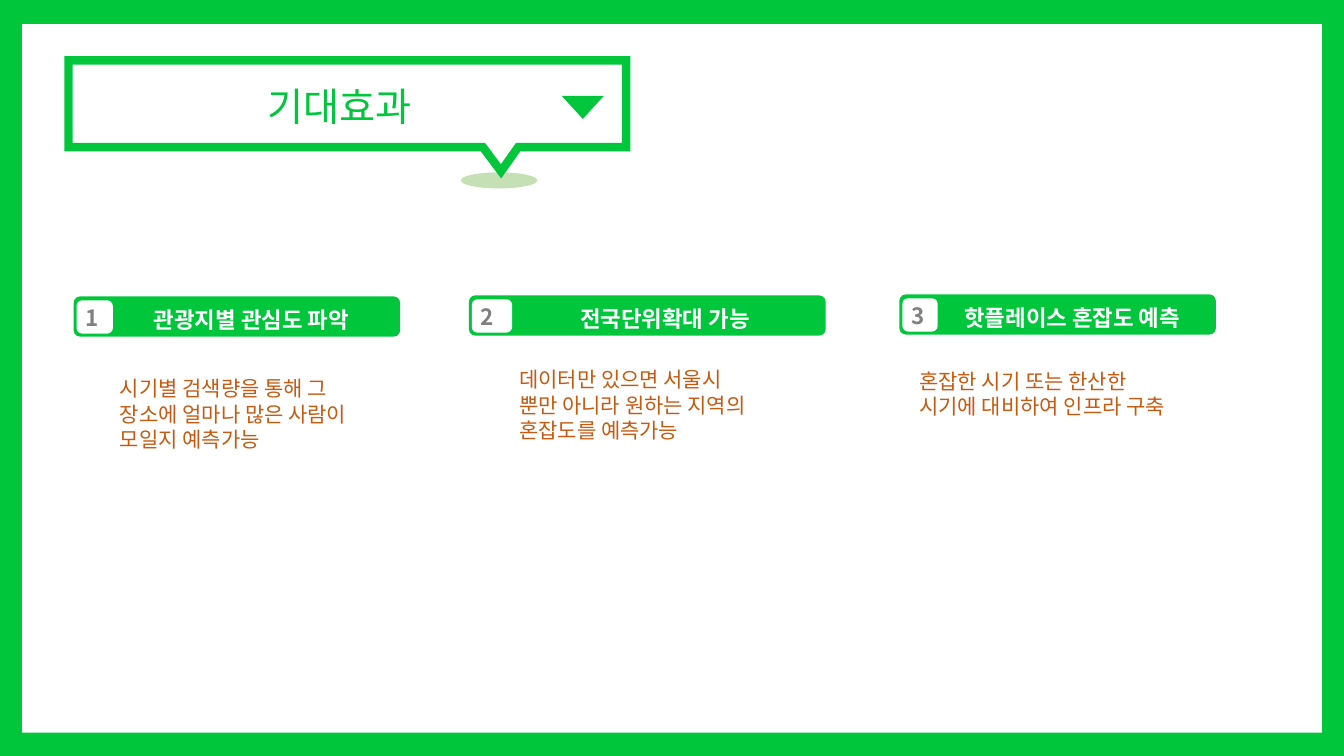
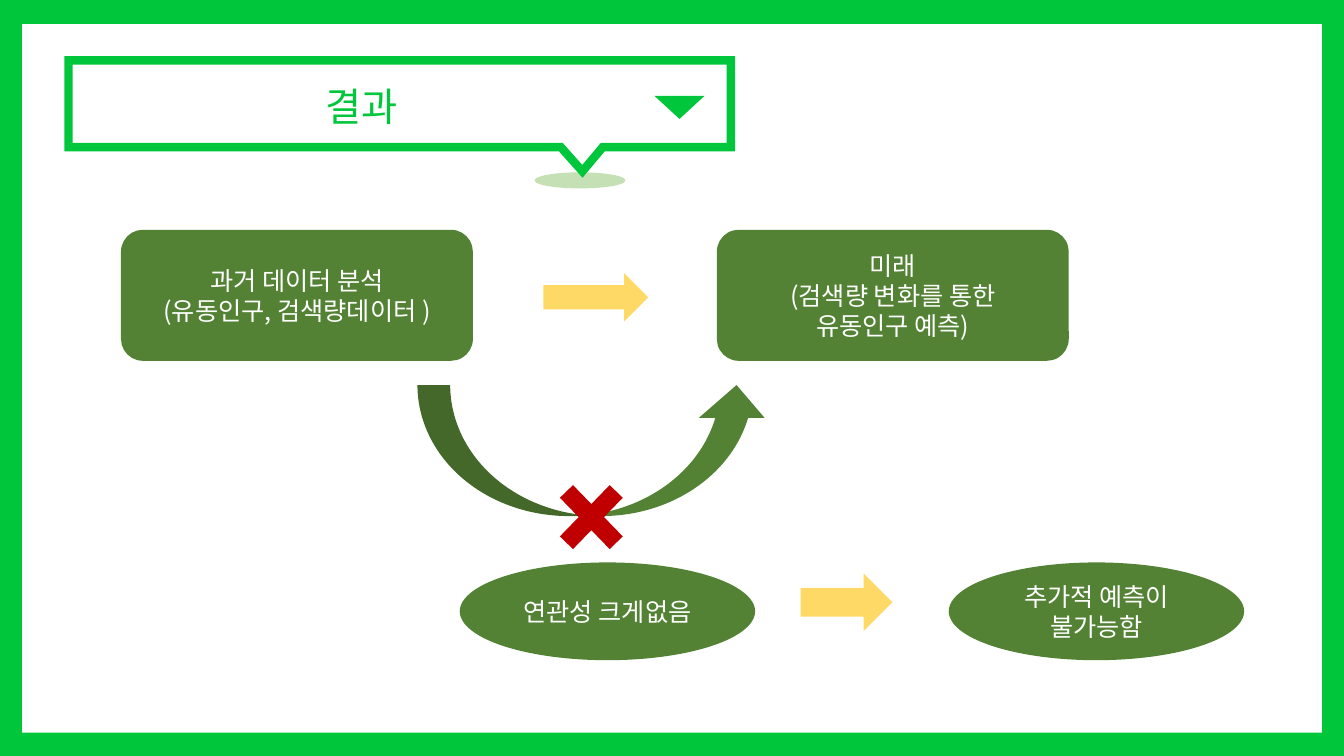
from dataclasses import dataclass

from lxml import etree
from pptx import Presentation
from pptx.dml.color import RGBColor
from pptx.enum import shapes, text
from pptx.oxml.ns import qn
from pptx.util import Inches, Pt

SHAPE = shapes.MSO_SHAPE
ALIGN = text.PP_ALIGN
ANCHOR = text.MSO_ANCHOR


@dataclass(frozen=True)
class Theme:
    font: str = "Noto Sans CJK KR"
    green: str = "00C63C"
    dark_green: str = "548235"
    pale_green: str = "C5E0B4"
    yellow: str = "FFD966"
    red: str = "C00000"
    orange: str = "C55A11"
    grey: str = "808080"
    white: str = "FFFFFF"
    title_size: int = 28
    box_size: int = 18
    label_size: int = 16
    body_size: int = 15


THEME = Theme()
TITLE_ONLY = 5

EFFECTS = [
    # bar (left, top, width), badge width, label (left, width), body (left, top, width)
    dict(bar=(0.73, 2.94, 3.24), badge=0.36, label=(1.11, 2.77), body=(1.09, 3.68, 2.59),
         heading="관광지별 관심도 파악",
         lines=["시기별 검색량을 통해 그 장소에 얼마나 많은 사람이 모일지 예측가능"]),
    dict(bar=(4.65, 2.93, 3.54), badge=0.4, label=(5.14, 2.91), body=(5.05, 3.59, 2.59),
         heading="전국단위확대 가능",
         lines=["데이터만 있으면 서울시 뿐만 아니라 원하는 지역의 혼잡도를 예측가능"]),
    dict(bar=(8.92, 2.92, 3.14), badge=0.35, label=(9.16, 2.95), body=(9.02, 3.61, 2.93),
         heading="핫플레이스 혼잡도 예측",
         lines=["혼잡한 시기 또는 한산한", "시기에 대비하여 인프라 구축"]),
]


def write(frame, lines, size, color, bold=False, align=ALIGN.LEFT, anchor=ANCHOR.TOP):
    frame_format = {"word_wrap": True, "auto_size": text.MSO_AUTO_SIZE.NONE,
                    "vertical_anchor": anchor}
    for name, value in frame_format.items():
        setattr(frame, name, value)
    font_format = {"name": THEME.font, "size": Pt(size), "bold": bold}
    for index, line in enumerate(lines):
        paragraph = frame.paragraphs[0] if index == 0 else frame.add_paragraph()
        paragraph.alignment = align
        run = paragraph.add_run()
        run.text = line
        for name, value in font_format.items():
            setattr(run.font, name, value)
        run.font.color.rgb = RGBColor.from_string(color)
        east_asian = etree.SubElement(run.font._element, qn("a:ea"))
        east_asian.set("typeface", THEME.font)


def add_filled(slide, preset, box, color):
    shape = slide.shapes.add_shape(preset, *map(Inches, box))
    shape.shadow.inherit = False
    shape.fill.solid()
    shape.fill.fore_color.rgb = RGBColor.from_string(color)
    shape.line.fill.background()
    return shape


def add_text(slide, box, lines, size, color, **style):
    write(slide.shapes.add_textbox(*map(Inches, box)).text_frame, lines, size, color, **style)


def add_node(slide, preset, box, lines):
    node = add_filled(slide, preset, box, THEME.dark_green)
    write(node.text_frame, lines, THEME.box_size, THEME.white,
          align=ALIGN.CENTER, anchor=ANCHOR.MIDDLE)


def frame_layout(layout, slide):
    """Draw the green border on the slide and move it behind the layout's contents."""
    border = add_filled(slide, SHAPE.RECTANGLE, (0, 0, 13.33, 7.5), THEME.green)
    page = add_filled(slide, SHAPE.RECTANGLE, (0.22, 0.24, 12.89, 7.03), THEME.white)
    for position, part in enumerate((border, page), start=2):
        layout.shapes._spTree.insert(position, part._element)


def add_callout(slide, width):
    """Speech-bubble outline whose tail and ornaments stretch with its width."""
    left, top, bottom, tip = 0.68, 0.6, 1.46, 1.7
    base_width = 5.53

    def across(offset):
        return left + offset * width / base_width

    def stretched(offset, y, base, height):
        return across(offset), y, base * width / base_width, height

    add_filled(slide, SHAPE.OVAL, stretched(3.89, 1.71, 0.76, 0.16), THEME.pale_green)

    corners = [(left, top), (left + width, top), (left + width, bottom),
               (across(4.46), bottom), (across(4.29), tip), (across(4.11), bottom),
               (left, bottom)]
    points = [(Inches(x), Inches(y)) for x, y in corners]
    builder = slide.shapes.build_freeform(*points[0])
    builder.add_line_segments(points[1:], close=True)
    bubble = builder.convert_to_shape()
    bubble.shadow.inherit = False
    bubble.fill.background()
    bubble.line.color.rgb = RGBColor.from_string(THEME.green)
    bubble.line.width = Pt(6)
    etree.SubElement(bubble.line._ln, qn("a:miter")).set("lim", "800000")

    marker = add_filled(slide, SHAPE.ISOSCELES_TRIANGLE,
                        stretched(4.89, 0.95, 0.42, 0.23), THEME.green)
    marker.rotation = 180


def add_titled_slide(deck, title, title_box, align, callout_width):
    slide = deck.slides.add_slide(deck.slide_layouts[TITLE_ONLY])
    heading = slide.shapes.title
    for name, value in zip(("left", "top", "width", "height"), title_box):
        setattr(heading, name, Inches(value))
    write(heading.text_frame, [title], THEME.title_size, THEME.green, align=align)
    add_callout(slide, callout_width)
    return slide


def add_effect(slide, number, effect):
    left, top, width = effect["bar"]
    add_filled(slide, SHAPE.ROUNDED_RECTANGLE, (left, top, width, 0.4), THEME.green)
    add_filled(slide, SHAPE.ROUNDED_RECTANGLE,
               (left + 0.03, top + 0.04, effect["badge"], 0.33), THEME.white)
    add_text(slide, (left + 0.02, top + 0.03, effect["badge"] + 0.03, 0.37), [str(number)],
             THEME.label_size, THEME.grey, bold=True)
    label_left, label_width = effect["label"]
    add_text(slide, (label_left, top + 0.05, label_width, 0.37), [effect["heading"]],
             THEME.label_size, THEME.white, bold=True, align=ALIGN.CENTER)
    add_text(slide, (*effect["body"], 0.86), effect["lines"], THEME.body_size, THEME.orange)


def build_effects(deck):
    slide = add_titled_slide(deck, "기대효과", (1.04, 0.77, 3.14, 0.57), ALIGN.RIGHT, 5.53)
    for number, effect in enumerate(EFFECTS, start=1):
        add_effect(slide, number, effect)
    return slide


def build_results(deck):
    slide = add_titled_slide(deck, "결과", (0.74, 0.77, 5.7, 0.57), ALIGN.CENTER, 6.57)
    box_size, oval_size = (3.49, 1.3), (2.93, 0.97)
    add_node(slide, SHAPE.ROUNDED_RECTANGLE, (1.2, 2.28, *box_size),
             ["과거 데이터 분석", "(유동인구, 검색량데이터 )"])
    add_node(slide, SHAPE.ROUNDED_RECTANGLE, (7.11, 2.28, *box_size),
             ["미래", "(검색량 변화를 통한", "유동인구 예측)"])
    add_filled(slide, SHAPE.CURVED_UP_ARROW, (4.14, 3.82, *box_size), THEME.dark_green)
    cross = add_filled(slide, SHAPE.MATH_MULTIPLY, (5.39, 4.64, 0.95, 0.98), THEME.red)
    cross.adjustments[0] = 0.19
    add_node(slide, SHAPE.OVAL, (4.56, 5.58, *oval_size), ["연관성 크게없음"])
    add_node(slide, SHAPE.OVAL, (9.41, 5.58, *oval_size), ["추가적 예측이 불가능함"])
    for arrow_box in ((5.39, 2.71, 1.04, 0.48), (7.94, 5.69, 0.91, 0.57)):
        add_filled(slide, SHAPE.RIGHT_ARROW, arrow_box, THEME.yellow)


def main():
    deck = Presentation()
    deck.slide_width, deck.slide_height = Inches(13.33), Inches(7.5)
    first = build_effects(deck)
    build_results(deck)
    frame_layout(deck.slide_layouts[TITLE_ONLY], first)
    deck.save("out.pptx")


if __name__ == "__main__":
    main()
